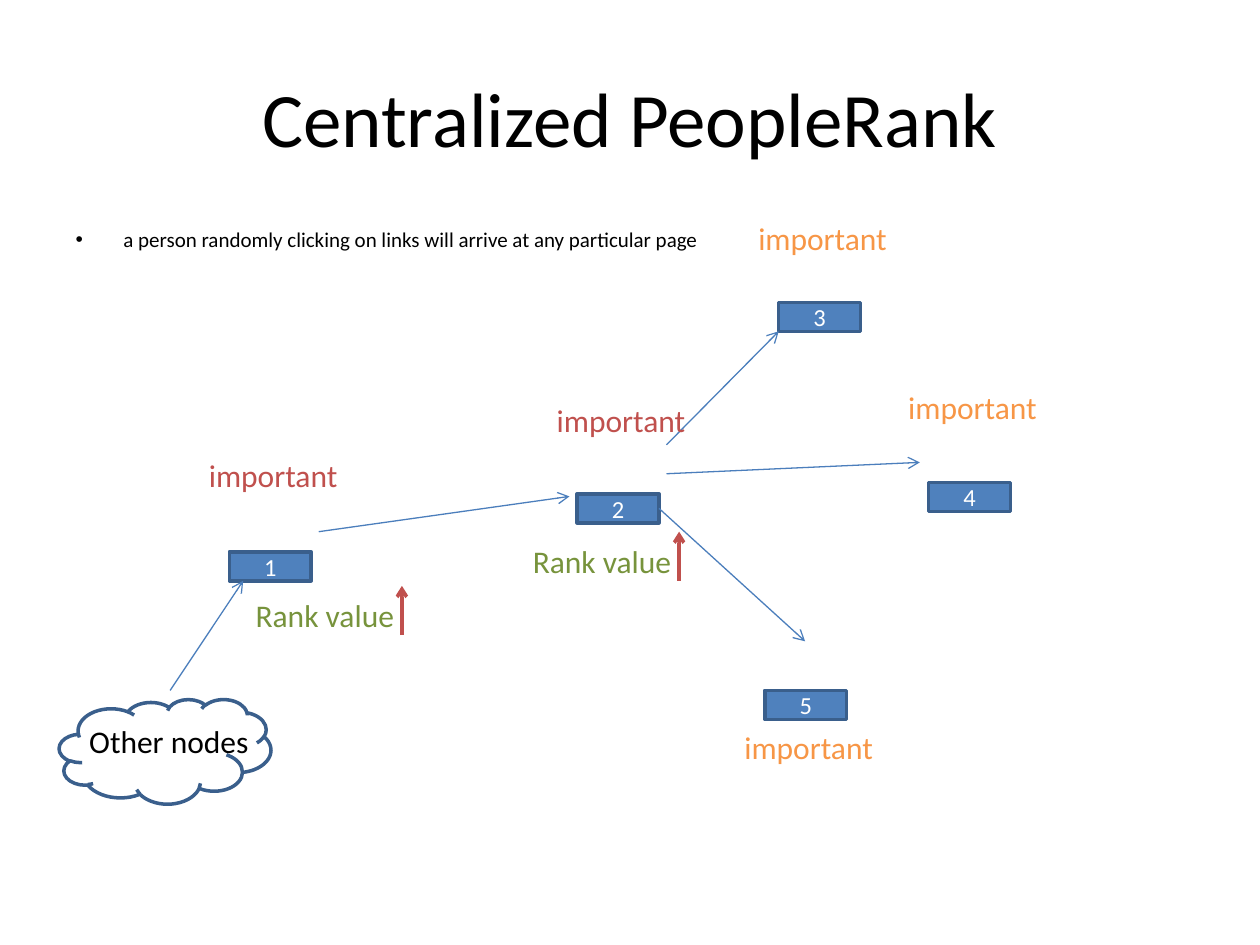
from lxml import etree
from pptx import Presentation
from pptx.dml.color import RGBColor
from pptx.enum.shapes import MSO_CONNECTOR, MSO_SHAPE
from pptx.enum.text import MSO_ANCHOR, MSO_AUTO_SIZE, PP_ALIGN
from pptx.oxml.ns import qn
from pptx.util import Inches, Pt

STRAIGHT = MSO_CONNECTOR.STRAIGHT
RECT, CLOUD = MSO_SHAPE.RECTANGLE, MSO_SHAPE.CLOUD
MIDDLE, TOP = MSO_ANCHOR.MIDDLE, MSO_ANCHOR.TOP
CENTER, LEFT = PP_ALIGN.CENTER, PP_ALIGN.LEFT
FIT_SHAPE = MSO_AUTO_SIZE.SHAPE_TO_FIT_TEXT
RIGHT_SIDE = 3

FONT = "Calibri"
COLORS = {
    "black": "000000",
    "white": "FFFFFF",
    "node": "4F81BD",
    "outline": "3A5F8C",
    "link": "4B7EBC",
    "orange": "F79646",
    "red": "C0504D",
    "green": "77933C",
}
NODE_W, NODE_H = 0.65, 0.23
LABEL_H = 0.4
RISE = 0.39

NODES = {"1": (1.82, 4.38), "2": (4.58, 3.92), "3": (6.18, 2.4),
         "4": (7.37, 3.83), "5": (6.07, 5.48)}
LINKS = [((2.53, 4.22), (4.52, 3.94)), ((5.29, 3.53), (6.18, 2.63)),
         ((5.29, 3.76), (7.3, 3.67)), ((1.35, 5.48), (1.93, 4.61))]
IMPORTANT = [(5.92, 1.69, "orange"), (7.11, 3.03, "orange"),
             (5.81, 5.73, "orange"), (4.32, 3.13, "red"), (1.56, 3.57, "red")]
# label left, label top, arrow x, arrow bottom
RANKS = [(4.13, 4.25, 5.39, 4.61), (1.93, 4.68, 3.19, 5.04)]


def rgb(name):
    return RGBColor.from_string(COLORS[name])


class SlideBuilder:
    def __init__(self, prs):
        self.slide = prs.slides.add_slide(prs.slide_layouts[1])
        self.shapes = self.slide.shapes

    def set_text(self, tf, text, size, color, align=LEFT, anchor=TOP):
        tf.text = text
        tf.vertical_anchor = anchor
        p = tf.paragraphs[0]
        p.alignment = align
        font = p.runs[0].font
        font.name, font.size = FONT, Pt(size)
        font.color.rgb = rgb(color)
        return p

    def place(self, sp, x, y, w, h):
        sp.left, sp.top = Inches(x), Inches(y)
        sp.width, sp.height = Inches(w), Inches(h)

    def title(self, text):
        sp = self.shapes.title
        self.place(sp, 0.5, 0.3, 9, 1.25)
        self.set_text(sp.text_frame, text, 44, "black", CENTER, MIDDLE)

    def bullet(self, text):
        sp = self.slide.placeholders[1]
        self.place(sp, 0.5, 1.75, 9, 4.95)
        p = self.set_text(sp.text_frame, text, 12, "black")
        p.space_before = Pt(0)
        pPr = p._p.get_or_add_pPr()
        pPr.set("marL", str(Inches(0.38)))
        pPr.set("indent", str(Inches(-0.38)))

    def shape(self, kind, x, y, w, h, fill=None):
        sp = self.shapes.add_shape(kind, Inches(x), Inches(y), Inches(w), Inches(h))
        sp.shadow.inherit = False
        if fill:
            sp.fill.solid()
            sp.fill.fore_color.rgb = rgb(fill)
        else:
            sp.fill.background()
        sp.line.color.rgb = rgb("outline")
        sp.line.width = Pt(2)
        return sp

    def node(self, text, x, y):
        sp = self.shape(RECT, x, y, NODE_W, NODE_H, "node")
        self.set_text(sp.text_frame, text, 14, "white", CENTER, MIDDLE)
        return sp

    def label(self, text, x, y, w, color):
        sp = self.shapes.add_textbox(Inches(x), Inches(y), Inches(w), Inches(LABEL_H))
        tf = sp.text_frame
        tf.word_wrap = False
        tf.auto_size = FIT_SHAPE
        self.set_text(tf, text, 18, color)

    def arrow(self, start, end, color="link", width=0.75):
        cxn = self.shapes.add_connector(
            STRAIGHT, *(Inches(v) for v in (*start, *end)))
        cxn.line.color.rgb = rgb(color)
        cxn.line.width = Pt(width)
        spPr = cxn._element.spPr
        etree.SubElement(spPr.find(qn("a:ln")), qn("a:tailEnd"), type="arrow")
        etree.SubElement(spPr, qn("a:effectLst"))
        return cxn


def main():
    prs = Presentation()
    prs.slide_width, prs.slide_height = Inches(10), Inches(7.5)
    s = SlideBuilder(prs)

    s.title("Centralized PeopleRank")
    s.bullet("a person randomly clicking on links will arrive at any particular page")

    nodes = {text: s.node(text, x, y) for text, (x, y) in NODES.items()}
    for start, end in LINKS:
        s.arrow(start, end)
    s.arrow((5.23, 4.04), (6.39, 5.09)).begin_connect(nodes["2"], RIGHT_SIDE)

    for x, y, color in IMPORTANT:
        s.label("important", x, y, 1.23, color)

    s.shape(CLOUD, 0.47, 5.55, 1.68, 0.83)
    s.label("Other nodes", 0.61, 5.68, 1.48, "black")

    for x, y, arrow_x, bottom in RANKS:
        s.label("Rank value", x, y, 1.31, "green")
        s.arrow((arrow_x, bottom), (arrow_x, bottom - RISE), "red", 2)

    prs.save("out.pptx")


if __name__ == "__main__":
    main()
